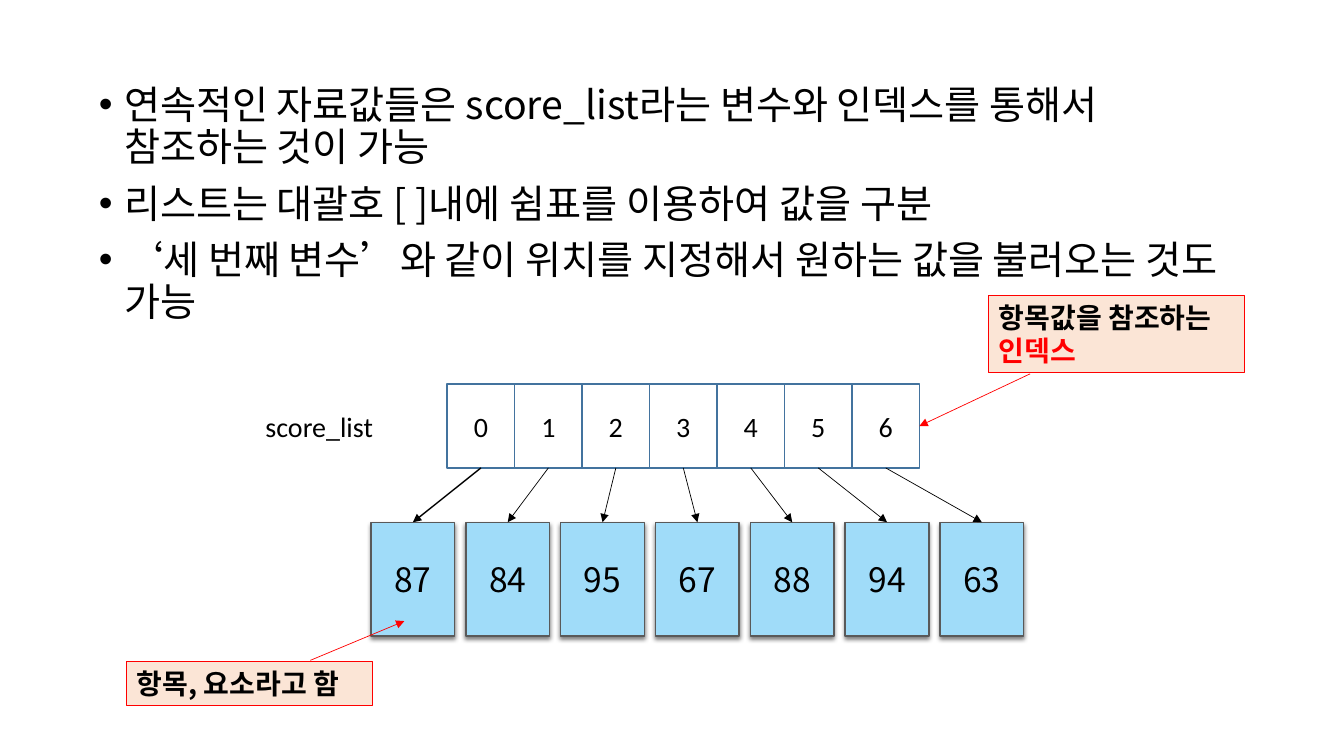
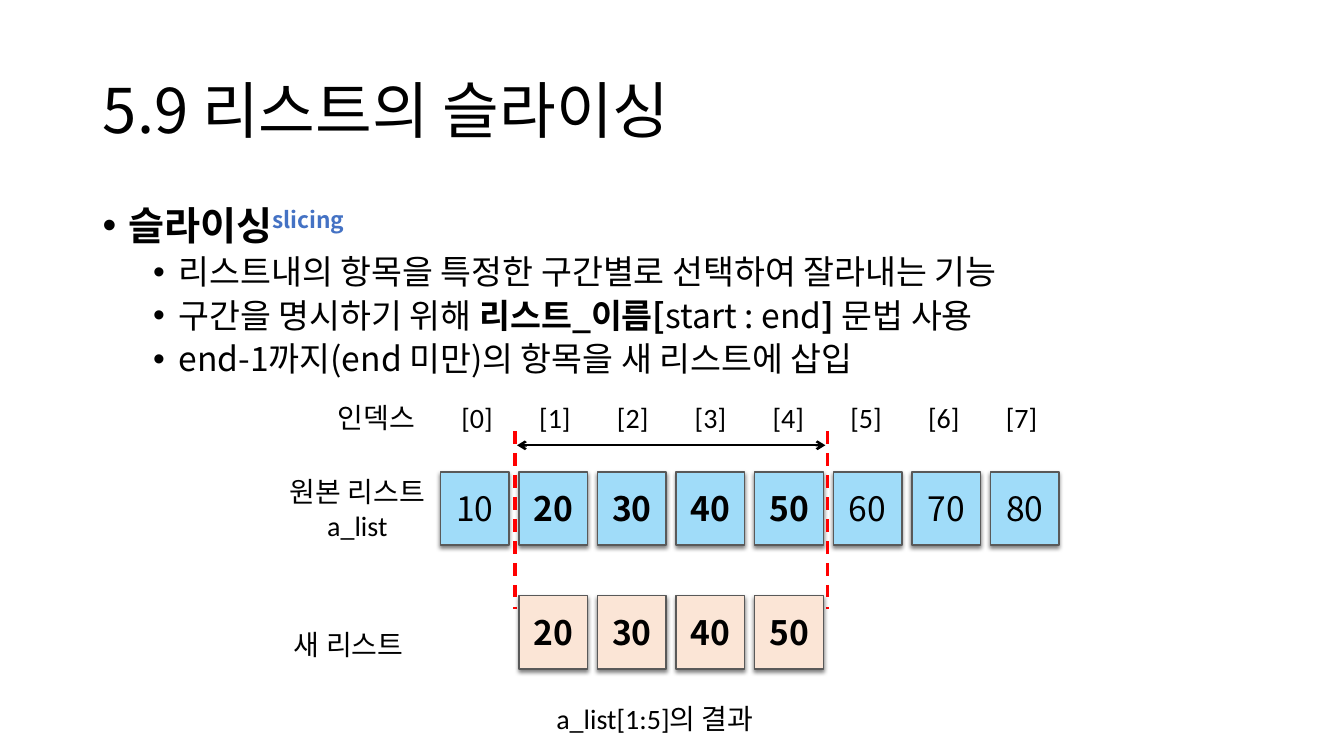
from dataclasses import dataclass

import pptx
import pptx.dml.color
import pptx.enum.dml
import pptx.enum.shapes
import pptx.enum.text
import pptx.oxml
import pptx.oxml.ns
import pptx.presentation
import pptx.shapes.autoshape
import pptx.shapes.connector
import pptx.slide
import pptx.text.text
import pptx.util
from pptx.dml.color import RGBColor
from pptx.enum.text import MSO_ANCHOR, PP_ALIGN
from pptx.util import Cm, Pt

BLACK = RGBColor(0x00, 0x00, 0x00)
WHITE = RGBColor(0xFF, 0xFF, 0xFF)
RED = RGBColor(0xFF, 0x00, 0x00)
ACCENT_BLUE = RGBColor(0x44, 0x72, 0xC4)
CELL_BLUE = RGBColor(0xA0, 0xDC, 0xF9)
PEACH = RGBColor(0xFB, 0xE5, 0xD6)
CELL_BORDER = RGBColor(0x59, 0x59, 0x59)
INDEX_BORDER = RGBColor(0x43, 0x73, 0x9E)

KOREAN_FONT = "Noto Sans CJK KR"
LABEL_FONT = "Calibri"
TITLE_ONLY_LAYOUT = 5
BLANK_LAYOUT = 6
BULLET_HANG = 0.64
SMALL_INSET = 0.15
DRAWING_NAMESPACE = pptx.oxml.ns.nsdecls("a")


@dataclass(frozen=True)
class Box:
    left: float
    top: float
    width: float
    height: float

    def lengths(self) -> tuple[int, int, int, int]:
        return Cm(self.left), Cm(self.top), Cm(self.width), Cm(self.height)


@dataclass(frozen=True)
class TextRun:
    text: str
    size: float = 20
    bold: bool = False
    color: RGBColor = BLACK
    font: str = KOREAN_FONT
    superscript: bool = False


@dataclass(frozen=True)
class Bullet:
    runs: tuple[TextRun, ...]
    level: int = 0


@dataclass(frozen=True)
class Label:
    box: Box
    lines: tuple[str, ...]
    alignment: PP_ALIGN = PP_ALIGN.CENTER


@dataclass(frozen=True)
class CellRow:
    first: Box
    pitch: float
    fill: RGBColor
    border: RGBColor
    font: str = KOREAN_FONT
    size: float = 24
    shadow: bool = True

    def box(self, position: int) -> Box:
        first = self.first
        return Box(first.left + position * self.pitch, first.top, first.width, first.height)


@dataclass(frozen=True)
class LineStyle:
    color: RGBColor
    weight: float
    head: str = ""
    tail: str = ""
    dashed: bool = False


SCORE_ROW = CellRow(Box(9.35, 13.16, 2.11, 2.87), 2.39, CELL_BLUE, CELL_BORDER)
INDEX_ROW = CellRow(Box(11.27, 9.68, 1.7, 2.11), 1.7, WHITE, INDEX_BORDER,
                    LABEL_FONT, 20, False)
ORIGINAL_ROW = CellRow(Box(11.1, 11.89, 1.73, 1.85), 1.98, CELL_BLUE, CELL_BORDER)
NEW_ROW = CellRow(Box(11.1, 15.01, 1.73, 1.85), 1.98, PEACH, CELL_BORDER)
CALLOUT_ARROW = LineStyle(RED, 0.5, tail="triangle")
SLICE_EDGE = LineStyle(RED, 2.25, dashed=True)
SLICE_SPAN = LineStyle(BLACK, 1.75, head="arrow", tail="arrow")


def add_run(paragraph: pptx.text.text._Paragraph, content: TextRun) -> None:
    run = paragraph.add_run()
    run.text = content.text
    run.font.size = Pt(content.size)
    run.font.bold = content.bold
    run.font.color.rgb = content.color
    run.font.name = content.font
    properties = run._r.get_or_add_rPr()
    properties.append(pptx.oxml.parse_xml(
        f'<a:ea {DRAWING_NAMESPACE} typeface="{KOREAN_FONT}"/>'))
    if content.superscript:
        properties.set("baseline", "30000")


def write_lines(frame: pptx.text.text.TextFrame, lines: tuple[TextRun, ...],
                alignment: PP_ALIGN, anchor: MSO_ANCHOR) -> None:
    frame.word_wrap = True
    frame.vertical_anchor = anchor
    for number, line in enumerate(lines):
        paragraph = frame.add_paragraph() if number else frame.paragraphs[0]
        paragraph.alignment = alignment
        add_run(paragraph, line)


def set_small_insets(frame: pptx.text.text.TextFrame) -> None:
    frame.margin_left = frame.margin_right = Cm(SMALL_INSET)
    frame.margin_top = frame.margin_bottom = Cm(SMALL_INSET)


def add_bullets(slide: pptx.slide.Slide, box: Box, bullets: tuple[Bullet, ...]) -> None:
    frame = slide.shapes.add_textbox(*box.lengths()).text_frame
    frame.word_wrap = True
    for number, bullet in enumerate(bullets):
        paragraph = frame.add_paragraph() if number else frame.paragraphs[0]
        paragraph.level = bullet.level
        paragraph.line_spacing = 0.9
        paragraph.space_before = Pt(5 if bullet.level else 10)
        properties = paragraph._p.get_or_add_pPr()
        properties.set("marL", str(Cm(BULLET_HANG + 1.27 * bullet.level)))
        properties.set("indent", str(-Cm(BULLET_HANG)))
        for markup in ('buFont {} typeface="Arial"', 'buChar {} char="•"'):
            properties.append(pptx.oxml.parse_xml(f"<a:{markup.format(DRAWING_NAMESPACE)}/>"))
        for content in bullet.runs:
            add_run(paragraph, content)


def add_rectangle(slide: pptx.slide.Slide, box: Box, fill: RGBColor, border: RGBColor,
                  weight: float) -> pptx.shapes.autoshape.Shape:
    shape = slide.shapes.add_shape(pptx.enum.shapes.MSO_SHAPE.RECTANGLE, *box.lengths())
    shape.fill.solid()
    shape.fill.fore_color.rgb = fill
    shape.line.color.rgb = border
    shape.line.width = Pt(weight)
    shape.shadow.inherit = False
    return shape


def add_cell(slide: pptx.slide.Slide, row: CellRow, position: int, value: int,
             bold: bool = False) -> pptx.shapes.autoshape.Shape:
    cell = add_rectangle(slide, row.box(position), row.fill, row.border, 1)
    if row.shadow:
        effects = cell._element.spPr.find(pptx.oxml.ns.qn("a:effectLst"))
        effects.append(pptx.oxml.parse_xml(
            f'<a:outerShdw {DRAWING_NAMESPACE} blurRad="{Pt(3)}" dist="{Pt(2)}" '
            'dir="5400000" algn="t" rotWithShape="0"><a:srgbClr val="000000">'
            '<a:alpha val="50000"/></a:srgbClr></a:outerShdw>'))
    set_small_insets(cell.text_frame)
    write_lines(cell.text_frame, (TextRun(str(value), row.size, bold, font=row.font),),
                PP_ALIGN.CENTER, MSO_ANCHOR.MIDDLE)
    return cell


def add_label(slide: pptx.slide.Slide, label: Label) -> None:
    frame = slide.shapes.add_textbox(*label.box.lengths()).text_frame
    set_small_insets(frame)
    lines = tuple(TextRun(line, font=LABEL_FONT) for line in label.lines)
    write_lines(frame, lines, label.alignment, MSO_ANCHOR.MIDDLE)


def add_callout(slide: pptx.slide.Slide, box: Box, lines: tuple[TextRun, ...]) -> None:
    callout = add_rectangle(slide, box, PEACH, RED, 0.75)
    write_lines(callout.text_frame, lines, PP_ALIGN.LEFT, MSO_ANCHOR.TOP)


def add_line(slide: pptx.slide.Slide, start: tuple[float, float], end: tuple[float, float],
             style: LineStyle) -> pptx.shapes.connector.Connector:
    connector = slide.shapes.add_connector(
        pptx.enum.shapes.MSO_CONNECTOR.STRAIGHT, *(Cm(value) for value in start + end))
    connector.line.color.rgb = style.color
    connector.line.width = Pt(style.weight)
    if style.dashed:
        connector.line.dash_style = pptx.enum.dml.MSO_LINE.DASH
    outline = connector.line._get_or_add_ln()
    for tag, kind in (("headEnd", style.head), ("tailEnd", style.tail)):
        if kind:
            outline.append(pptx.oxml.parse_xml(
                f'<a:{tag} {DRAWING_NAMESPACE} type="{kind}"/>'))
    connector._element.spPr.append(
        pptx.oxml.parse_xml(f"<a:effectLst {DRAWING_NAMESPACE}/>"))
    return connector


def add_title(slide: pptx.slide.Slide, text: str) -> None:
    title = slide.shapes.title
    title.left, title.top, title.width, title.height = Box(2.34, 1.02, 29.21, 3.68).lengths()
    title.text_frame.auto_size = pptx.enum.text.MSO_AUTO_SIZE.NONE
    write_lines(title.text_frame, (TextRun(text, 44),), PP_ALIGN.LEFT, MSO_ANCHOR.MIDDLE)
    title.text_frame.paragraphs[0].line_spacing = 0.9


def build_index_slide(presentation: pptx.presentation.Presentation) -> None:
    slide = presentation.slides.add_slide(presentation.slide_layouts[BLANK_LAYOUT])
    sentences = (
        "연속적인 자료값들은 score_list라는 변수와 인덱스를 통해서 참조하는 것이 가능",
        "리스트는 대괄호 [ ]내에 쉼표를 이용하여 값을 구분",
        "‘세 번째 변수’와 같이 위치를 지정해서 원하는 값을 불러오는 것도 가능",
    )
    add_bullets(slide, Box(2.24, 2.03, 29.21, 12.09),
                tuple(Bullet((TextRun(sentence, 28),)) for sentence in sentences))
    add_label(slide, Label(Box(5.72, 9.86, 4.65, 1.75), ("score_list",)))

    scores = (87, 84, 95, 67, 88, 94, 63)
    score_cells = [add_cell(slide, SCORE_ROW, index, score)
                   for index, score in enumerate(scores)]
    index_cells = [add_cell(slide, INDEX_ROW, index, index) for index in range(len(scores))]
    for index, (index_cell, score_cell) in enumerate(zip(index_cells, score_cells)):
        style = LineStyle(BLACK, 0.5 if index else 1, tail="triangle")
        arrow = add_line(slide, (0, 0), (0, 0), style)
        arrow.begin_connect(index_cell, 2)
        arrow.end_connect(score_cell, 0)

    add_callout(slide, Box(3.2, 16.66, 6.2, 1.12), (TextRun("항목, 요소라고 함", bold=True),))
    add_line(slide, (7.82, 16.64), (10.19, 15.65), CALLOUT_ARROW)
    add_callout(slide, Box(24.92, 7.44, 6.45, 1.96),
                (TextRun("항목값을 참조하는", bold=True),
                 TextRun("인덱스", bold=True, color=RED)))
    index_arrow = add_line(slide, (25.96, 9.42), (23.17, 10.73), CALLOUT_ARROW)
    index_arrow.end_connect(index_cells[-1], 3)


def build_slicing_slide(presentation: pptx.presentation.Presentation) -> None:
    slide = presentation.slides.add_slide(presentation.slide_layouts[TITLE_ONLY_LAYOUT])
    add_title(slide, "5.9 리스트의 슬라이싱")
    add_bullets(slide, Box(2.34, 5.08, 29.21, 12.09), (
        Bullet((TextRun("슬라이싱", 28, True),
                TextRun("slicing", 28, True, ACCENT_BLUE, superscript=True))),
        Bullet((TextRun("리스트내의 항목을 특정한 구간별로 선택하여 잘라내는 기능", 24),), 1),
        Bullet((TextRun("구간을 명시하기 위해 ", 24), TextRun("리스트_이름[", 24, True),
                TextRun("start : end", 24), TextRun("] ", 24, True),
                TextRun("문법 사용", 24)), 1),
        Bullet((TextRun("end-1까지(end 미만)의 항목을 새 리스트에 삽입", 24),), 1),
    ))

    values = (10, 20, 30, 40, 50, 60, 70, 80)
    selected = range(1, 5)
    for index, value in enumerate(values):
        add_cell(slide, ORIGINAL_ROW, index, value, index in selected)
        add_label(slide, Label(Box(11.35 + 1.96 * index, 9.95, 1.35, 1.14), (f"[{index}]",)))
    for edge in (12.98, 20.85):
        add_line(slide, (edge, 10.87), (edge, 15.34), SLICE_EDGE)
    for index in selected:
        add_cell(slide, NEW_ROW, index, values[index], True)
    add_line(slide, (13.03, 11.22), (20.8, 11.22), SLICE_SPAN)

    for label in (
        Label(Box(8.28, 9.95, 2.41, 1.14), ("인덱스",)),
        Label(Box(6.91, 11.81, 4.19, 2.01), ("원본 리스트", "a_list")),
        Label(Box(7.26, 15.67, 3.48, 1.14), ("새 리스트",), PP_ALIGN.LEFT),
        Label(Box(13.87, 17.53, 6.71, 1.14), ("a_list[1:5]의 결과",), PP_ALIGN.LEFT),
    ):
        add_label(slide, label)


def main() -> None:
    presentation = pptx.Presentation()
    presentation.slide_width = Cm(33.87)
    presentation.slide_height = Cm(19.05)
    build_index_slide(presentation)
    build_slicing_slide(presentation)
    presentation.save("out.pptx")


if __name__ == "__main__":
    main()
